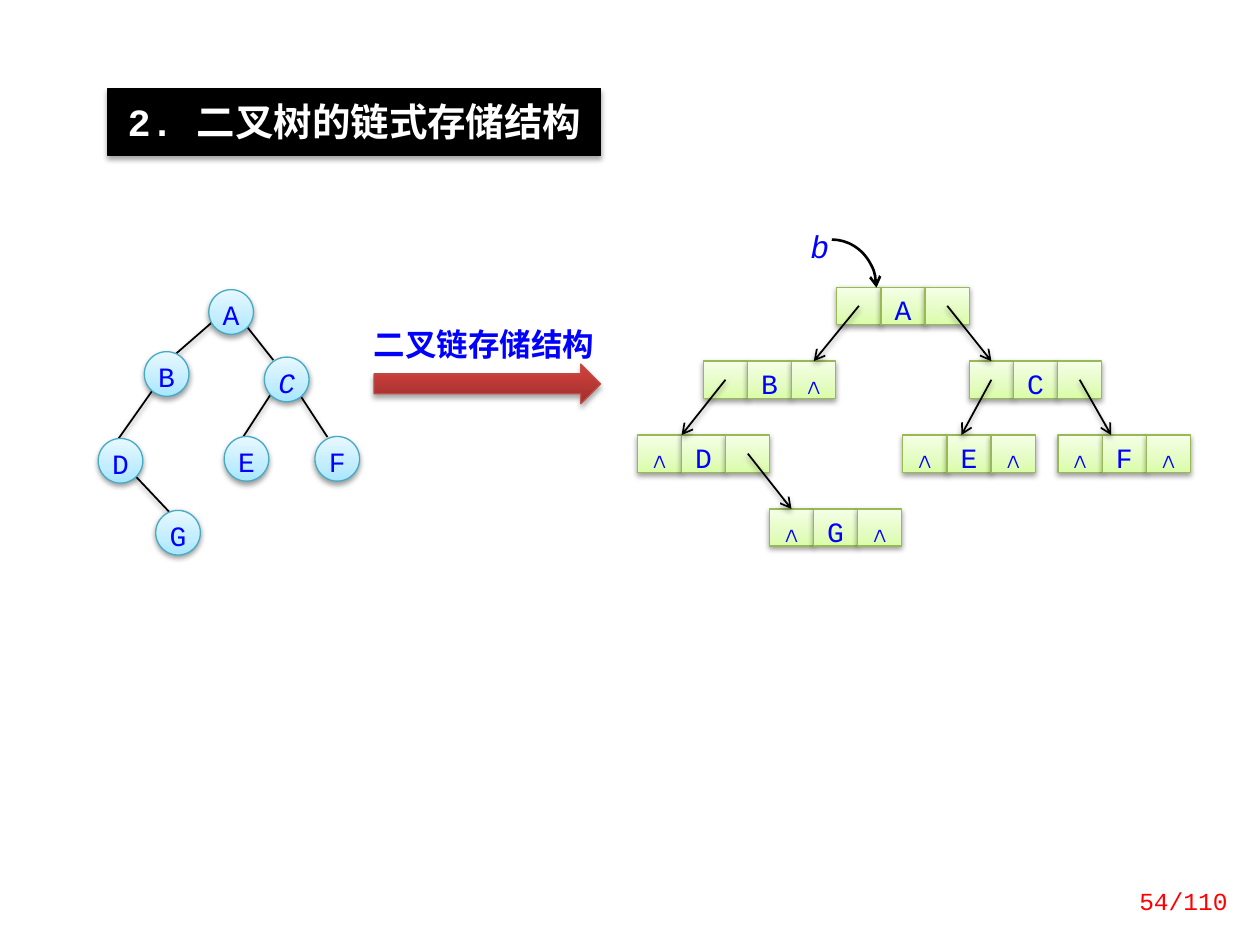
from copy import deepcopy
from lxml import etree
from pptx import Presentation
from pptx.dml.color import RGBColor
from pptx.enum import shapes, text
from pptx.oxml.ns import qn
from pptx.util import Cm, Pt

BLUE = "0000FF"
SKY = [(0, "A7E6FF"), (0.35, "C1EDFF"), (1, "E7F8FF")]
LIME = [(0, "DAFDA7"), (0.35, "E4FCC2"), (1, "F5FFE7")]
RED = [(0, "9C2F2D"), (0.8, "CB3E3A"), (1, "CE3B37")]
color = RGBColor.from_string


def style(item, line, width=0.75, stops=None, shadow=38, arrow=False):
    """Set gradient, outline, arrowhead and soft shadow (opacity in percent)."""
    properties = item._element.spPr
    if stops:
        item.fill.gradient()
        item.fill.gradient_angle = 90
        stop_list = properties.find(".//" + qn("a:gsLst"))
        stop_list.append(deepcopy(stop_list[-1]))
        for stop, (position, shade) in zip(item.fill.gradient_stops, stops):
            stop.position = position
            stop.color.rgb = color(shade)
    item.line.color.rgb = color(line)
    item.line.width = Pt(width)
    if arrow:
        etree.SubElement(item.line._get_or_add_ln(), qn("a:tailEnd"), type="arrow")
    effects = etree.SubElement(properties, qn("a:effectLst"))
    if shadow:
        outer = etree.SubElement(effects, qn("a:outerShdw"), blurRad="40000",
                                 dist="20000" if shadow == 38 else "23000",
                                 dir="5400000", rotWithShape="0")
        black = etree.SubElement(outer, qn("a:srgbClr"), val="000000")
        etree.SubElement(black, qn("a:alpha"), val=str(shadow * 1000))


def write(item, words, size=16, shade=BLUE, align="CENTER", top=0, side=0,
          spacing=None, bold=False, italic=False):
    """Fill a shape with one formatted paragraph."""
    frame = item.text_frame
    frame.text = words
    frame.word_wrap = True
    frame.auto_size = text.MSO_AUTO_SIZE.NONE
    frame.vertical_anchor = text.MSO_ANCHOR.TOP
    frame.margin_left = frame.margin_right = Cm(side)
    frame.margin_top, frame.margin_bottom = Cm(top), 0
    para = frame.paragraphs[0]
    para.alignment = text.PP_ALIGN[align]
    if spacing:
        para.line_spacing = Pt(spacing)
    font = para.runs[0].font
    font.name, font.size = "Courier New", Pt(size)
    font.bold, font.italic = bold, italic
    font.color.rgb = color(shade)


deck = Presentation()
deck.slide_width, deck.slide_height = Cm(25.4), Cm(19.05)
page = deck.slides.add_slide(deck.slide_layouts[5])
parts = page.shapes

# Title
title = parts.title
title.left, title.top, title.width, title.height = Cm(2.18), Cm(1.78), Cm(9.93), Cm(1.36)
title.fill.solid()
title.fill.fore_color.rgb = color("000000")
style(title, "000000", shadow=35)
write(title, "2. 二叉树的链式存储结构", 22, "FFFFFF", top=0.2, side=0.25, bold=True)
title.text_frame.word_wrap = False

# Binary tree: edges, then nodes
edges = [
    (4.95, 6.55, 5.51, 7.26), (5.49, 7.9, 4.9, 8.81), (2.59, 9.45, 3.45, 10.36),
    (5.94, 7.8, 6.6, 8.81), (3.18, 7.72, 2.39, 8.84), (4.65, 6.17, 3.33, 7.32),
]
for edge in edges:
    line = parts.add_connector(shapes.MSO_CONNECTOR.STRAIGHT, *map(Cm, edge))
    style(line, "000000", 1)

nodes = {
    "A": (4.21, 5.84), "B": (2.91, 7.09), "C": (5.33, 7.2), "E": (4.52, 8.8),
    "F": (6.35, 8.8), "D": (1.98, 8.84), "G": (3.14, 10.29),
}
for name, (left, top) in nodes.items():
    node = parts.add_shape(shapes.MSO_SHAPE.OVAL, Cm(left), Cm(top), Cm(0.9), Cm(0.9))
    style(node, "46AAC5", stops=SKY)
    write(node, name, spacing=20, italic=name == "C")

# Caption above the big arrow
caption = parts.add_textbox(Cm(7.54), Cm(6.55), Cm(4.57), Cm(0.76))
write(caption, "二叉链存储结构", 18, align="LEFT", bold=True)

# Linked records: left pointer, data, right pointer
CELL_WIDTH, CELL_HEIGHT, FIRST_ROW, ROW_STEP = 0.89, 0.75, 5.79, 1.49
records = [
    (16.87, 0, " A "), (14.18, 1, " B∧"), (19.54, 1, " C "), (12.85, 2, "∧D "),
    (18.2, 2, "∧E∧"), (15.51, 3, "∧G∧"), (21.33, 2, "∧F∧"),
]
cells = {}
for left, row, fields in records:
    for column, field in enumerate(fields):
        cell = parts.add_shape(
            shapes.MSO_SHAPE.RECTANGLE, Cm(left + column * CELL_WIDTH),
            Cm(FIRST_ROW + row * ROW_STEP), Cm(CELL_WIDTH), Cm(CELL_HEIGHT))
        style(cell, "98B955", stops=LIME)
        if field != " ":
            write(cell, field, top=0.08, spacing=20)
        cells[fields[1], column] = cell

# Pointers run from a cell's centre to a cell's top, or to a point on the row
pointers = [
    (("A", 0), ("B", 2), None), (("A", 2), ("C", 0), None),
    (("B", 0), None, 13.74), (("D", 2), ("G", 0), None),
    (("C", 0), None, 19.38), (("C", 2), None, 22.4),
]
for source, target, end_x in pointers:
    cell = cells[source]
    pointer = parts.add_connector(
        shapes.MSO_CONNECTOR.STRAIGHT, cell.left + cell.width // 2,
        cell.top + cell.height // 2, Cm(end_x or 0), Cm(FIRST_ROW + 2 * ROW_STEP))
    if target:
        pointer.end_connect(cells[target], 0)
    style(pointer, "000000", 1, arrow=True)

# Root pointer b
root = parts.add_textbox(Cm(16.18), Cm(4.57), Cm(0.69), Cm(0.76))
write(root, "b", 18, italic=True)
curve = parts.add_shape(shapes.MSO_SHAPE.ARC, Cm(15.87), Cm(4.83), Cm(1.8), Cm(1.94))
curve.fill.background()
style(curve, "000000", 1.5, shadow=0, arrow=True)

# Big arrow from tree to linked storage
big_arrow = parts.add_shape(shapes.MSO_SHAPE.RIGHT_ARROW, Cm(7.54), Cm(7.34), Cm(4.57), Cm(0.8))
style(big_arrow, "BF4C48", stops=RED, shadow=35)

# Page number
number = parts.add_textbox(Cm(22.1), Cm(17.65), Cm(2.9), Cm(1.02))
write(number, "54/110", 14, "FF0000", "RIGHT", side=0.25)
number.text_frame.vertical_anchor = text.MSO_ANCHOR.MIDDLE

deck.save("out.pptx")
